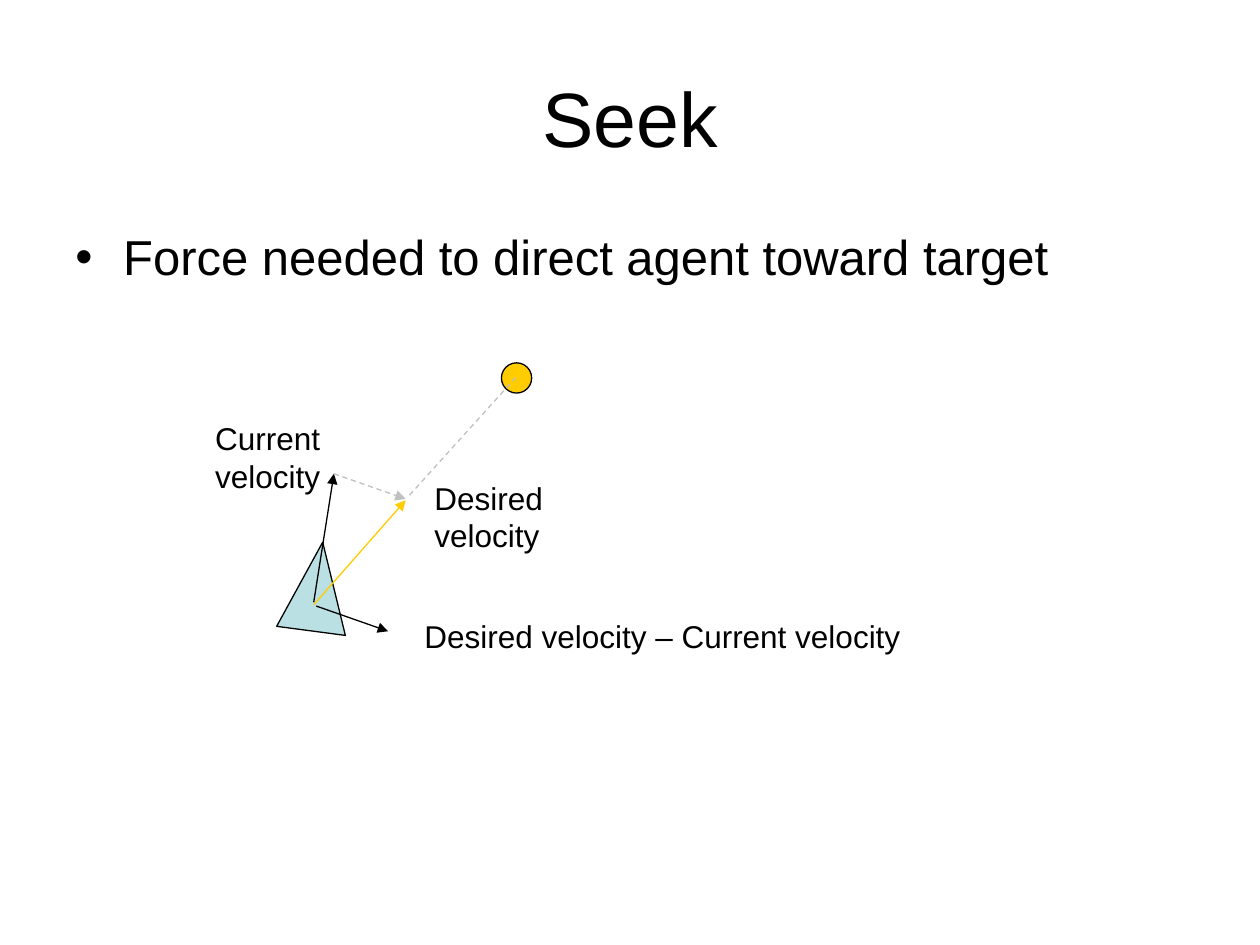
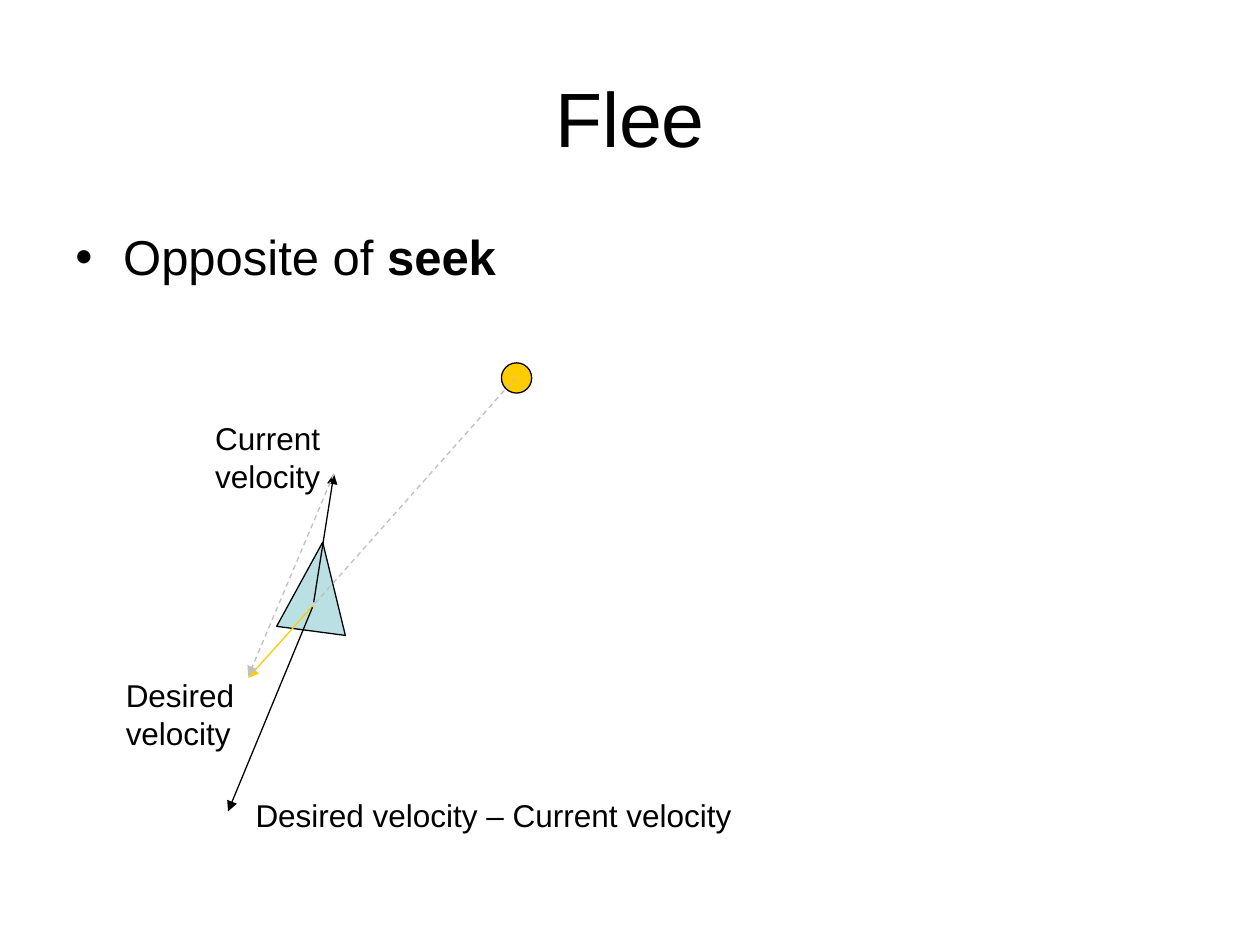
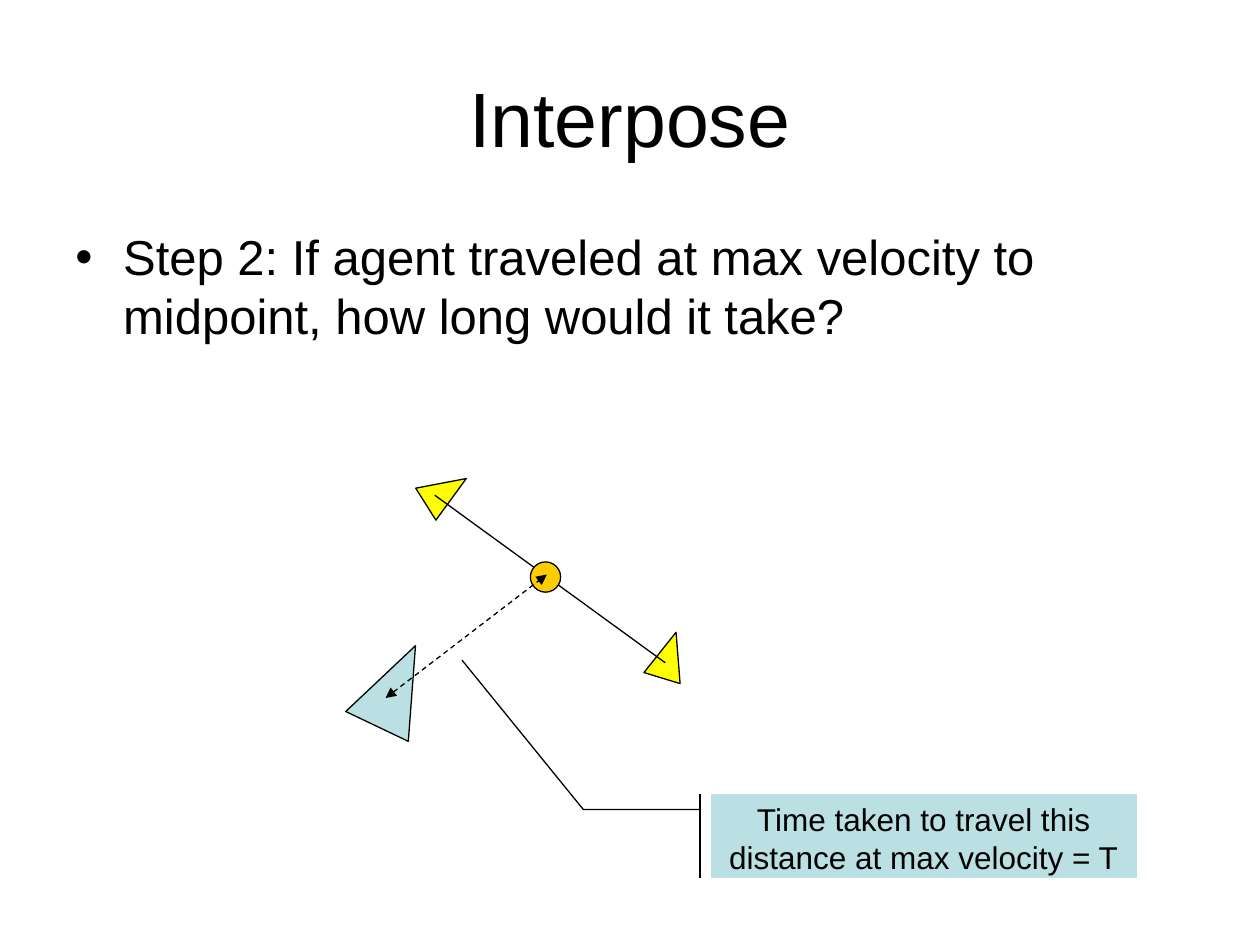
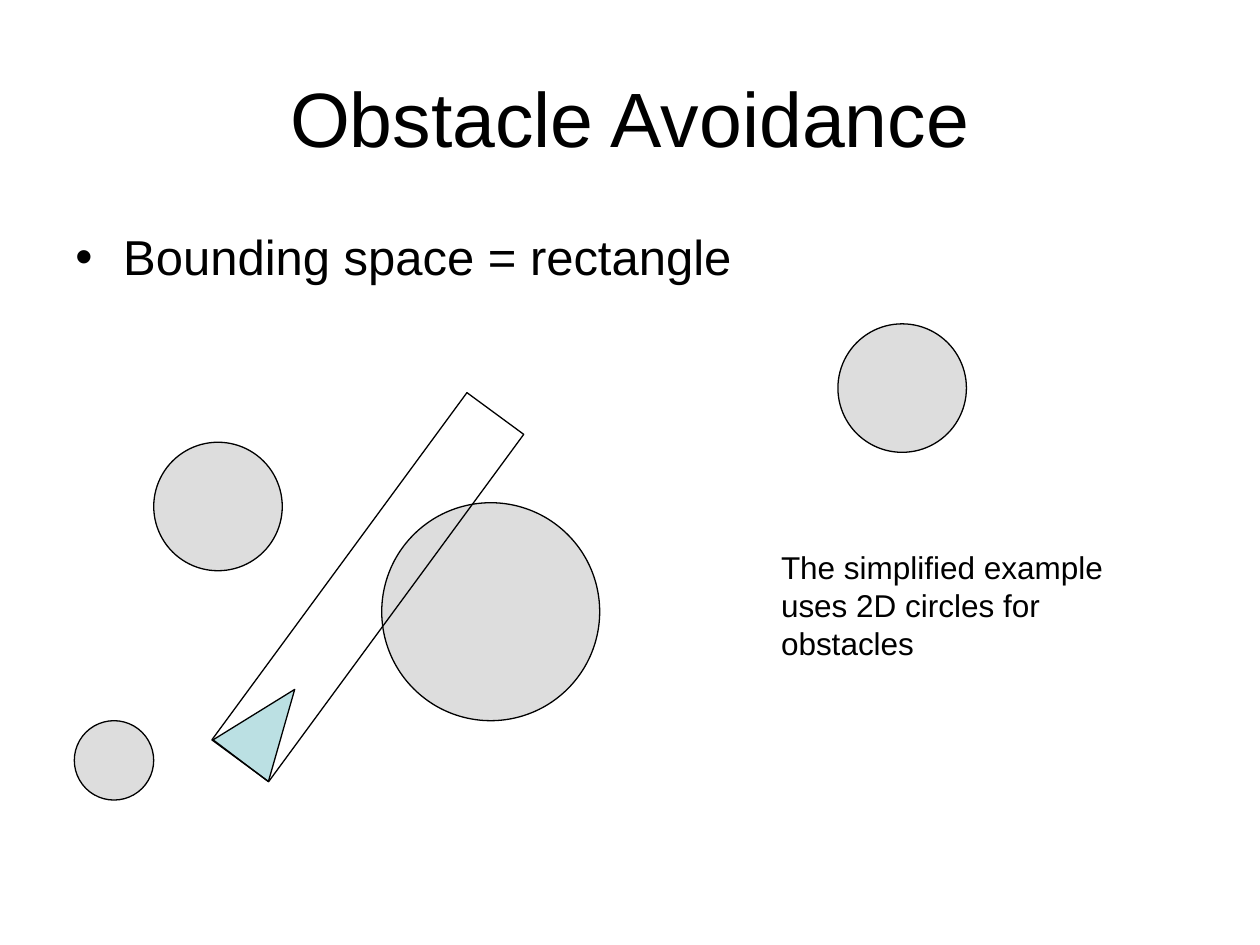
"""Build four slides on steering behaviours for game agents."""
from dataclasses import dataclass
from lxml import etree
from pptx import Presentation
from pptx.dml.color import RGBColor as RGB
from pptx.enum.dml import MSO_LINE as DASH
from pptx.enum.shapes import MSO_CONNECTOR as CONN, MSO_SHAPE as SHAPE
from pptx.enum.text import MSO_ANCHOR as ANCHOR, MSO_AUTO_SIZE as FIT, PP_ALIGN as ALIGN
from pptx.oxml.ns import qn
from pptx.util import Inches, Pt


@dataclass(frozen=True)
class Theme:
    font: str = "Arial"
    title_size: int = 44
    body_size: int = 28
    label_size: int = 18
    line_width: float = 0.75
    ink: str = "000000"
    agent: str = "BBE0E3"
    target: str = "FFCC00"
    other: str = "FFFF00"
    guide: str = "C0C0C0"
    obstacle: str = "DDDDDD"


theme = Theme()


def add_outlined(slide, preset, box, fill=None, rotation=0):
    sp = slide.shapes.add_shape(preset, *map(Inches, box))
    sp.shadow.inherit = False
    sp.rotation = rotation
    sp.line.color.rgb = RGB.from_string(theme.ink)
    sp.line.width = Pt(theme.line_width)
    if fill:
        sp.fill.solid()
        sp.fill.fore_color.rgb = RGB.from_string(fill)
    else:
        sp.fill.background()
    return sp


def add_line(slide, start, end, color=theme.ink, dashed=False, ends=("tailEnd",)):
    cn = slide.shapes.add_connector(CONN.STRAIGHT, *map(Inches, start + end))
    cn.line.color.rgb = RGB.from_string(color)
    cn.line.width = Pt(theme.line_width)
    if dashed:
        cn.line.dash_style = DASH.DASH
    ln = cn.line._get_or_add_ln()
    for tag in ends:
        etree.SubElement(ln, qn(f"a:{tag}"), type="triangle")
    etree.SubElement(cn._element.spPr, qn("a:effectLst"))


prs = Presentation()
prs.slide_width, prs.slide_height = Inches(10), Inches(7.5)

topics = [
    ("Seek", [("Force needed to direct agent toward target", False)]),
    ("Flee", [("Opposite of ", False), ("seek", True)]),
    ("Interpose", [("Step 2: If agent traveled at max velocity to midpoint, "
                    "how long would it take?", False)]),
    ("Obstacle Avoidance", [("Bounding space = rectangle", False)]),
]
slides, texts = [], []
for title, bullet in topics:
    s = prs.slides.add_slide(prs.slide_layouts[5])
    slides.append(s)
    sp = s.shapes.title
    sp.left, sp.top, sp.width, sp.height = map(Inches, (0.5, 0.3, 9, 1.25))
    sp.text_frame.vertical_anchor = ANCHOR.MIDDLE
    texts.append((sp, [(title, False)], theme.title_size, ALIGN.CENTER))

    sp = s.shapes.add_textbox(*map(Inches, (0.5, 1.75, 9, 4.95)))
    pPr = sp.text_frame.paragraphs[0]._p.get_or_add_pPr()
    pPr.set("marL", str(Inches(0.38)))
    pPr.set("indent", str(Inches(-0.38)))
    etree.SubElement(pPr, qn("a:buFont"), typeface=theme.font)
    etree.SubElement(pPr, qn("a:buChar"), char="•")
    texts.append((sp, bullet, theme.body_size, ALIGN.LEFT))

seek, flee, interpose, avoid = slides

velocity_tip = (2.65, 3.76)
for s in (seek, flee):
    add_outlined(s, SHAPE.ISOSCELES_TRIANGLE, (2.24, 4.3, 0.55, 0.71), theme.agent, 7.5)
    add_outlined(s, SHAPE.OVAL, (3.98, 2.88, 0.24, 0.24), theme.target)
    add_line(s, (2.49, 4.78), velocity_tip)

target_center = (4.09, 3)
add_line(seek, (2.49, 4.8), (3.22, 3.97), theme.target)
add_line(seek, (3.25, 3.93), target_center, theme.guide, True, ())
add_line(seek, velocity_tip, (3.22, 3.96), theme.guide, True)
add_line(seek, (2.51, 4.81), (3.08, 5.01))

add_line(flee, (2.49, 4.8), (1.97, 5.38), theme.target)
add_line(flee, (2.5, 4.79), target_center, theme.guide, True, ())
add_line(flee, velocity_tip, (1.97, 5.37), theme.guide, True)
add_line(flee, (2.48, 4.82), (1.81, 6.44))

for box, fill, rotation in [
    ((2.87, 5.09, 0.55, 0.71), theme.agent, 25.5),
    ((5.16, 5.01, 0.3, 0.38), theme.other, 17),
    ((3.39, 3.71, 0.3, 0.38), theme.other, 57.7),
]:
    add_outlined(interpose, SHAPE.ISOSCELES_TRIANGLE, box, fill, rotation)
add_line(interpose, (3.45, 3.93), (5.28, 5.26), ends=())
add_outlined(interpose, SHAPE.OVAL, (4.21, 4.46, 0.24, 0.24), theme.target)
add_line(interpose, (3.06, 5.54), (4.34, 4.56), dashed=True, ends=("headEnd", "tailEnd"))
callout = add_outlined(interpose, SHAPE.LINE_CALLOUT_2_ACCENT_BAR,
                       (5.64, 6.3, 3.38, 0.67), theme.agent)
for i, value in enumerate((0.188, -0.025, 0.188, -0.299, -1.583, -0.584)):
    callout.adjustments[i] = value
callout.text_frame.vertical_anchor = ANCHOR.TOP
texts.append((callout, [("Time taken to travel this distance at max velocity = T", False)],
              theme.label_size, ALIGN.CENTER))

add_outlined(avoid, SHAPE.ISOSCELES_TRIANGLE, (1.85, 5.4, 0.55, 0.71), theme.agent, 37.1)
for left, top, size in [(3.03, 3.99, 1.73), (0.59, 5.72, 0.63),
                        (1.22, 3.51, 1.02), (6.65, 2.57, 1.02)]:
    add_outlined(avoid, SHAPE.OVAL, (left, top, size, size), theme.obstacle)
add_outlined(avoid, SHAPE.RECTANGLE, (1.21, 4.38, 3.42, 0.56), rotation=306.3)

for s, box, label in [
    (seek, (1.61, 3.28, 1.5, 0.7), "Current velocity"),
    (seek, (3.35, 3.75, 1.5, 0.7), "Desired velocity"),
    (seek, (3.27, 4.85, 4.1, 0.4), "Desired velocity – Current velocity"),
    (flee, (1.61, 3.28, 1.5, 0.7), "Current velocity"),
    (flee, (0.9, 5.32, 1.5, 0.7), "Desired velocity"),
    (flee, (1.93, 6.27, 4.1, 0.4), "Desired velocity – Current velocity"),
    (avoid, (6.1, 4.3, 3.15, 1), "The simplified example uses 2D circles for obstacles"),
]:
    sp = s.shapes.add_textbox(*map(Inches, box))
    sp.text_frame.auto_size = FIT.SHAPE_TO_FIT_TEXT
    texts.append((sp, [(label, False)], theme.label_size, ALIGN.LEFT))

for sp, runs, size, align in texts:
    tf = sp.text_frame
    tf.word_wrap = True
    p = tf.paragraphs[0]
    p.alignment = align
    for text, bold in runs:
        r = p.add_run()
        r.text = text
        r.font.name, r.font.size, r.font.bold = theme.font, Pt(size), bold
        r.font.color.rgb = RGB.from_string(theme.ink)

prs.save("out.pptx")
